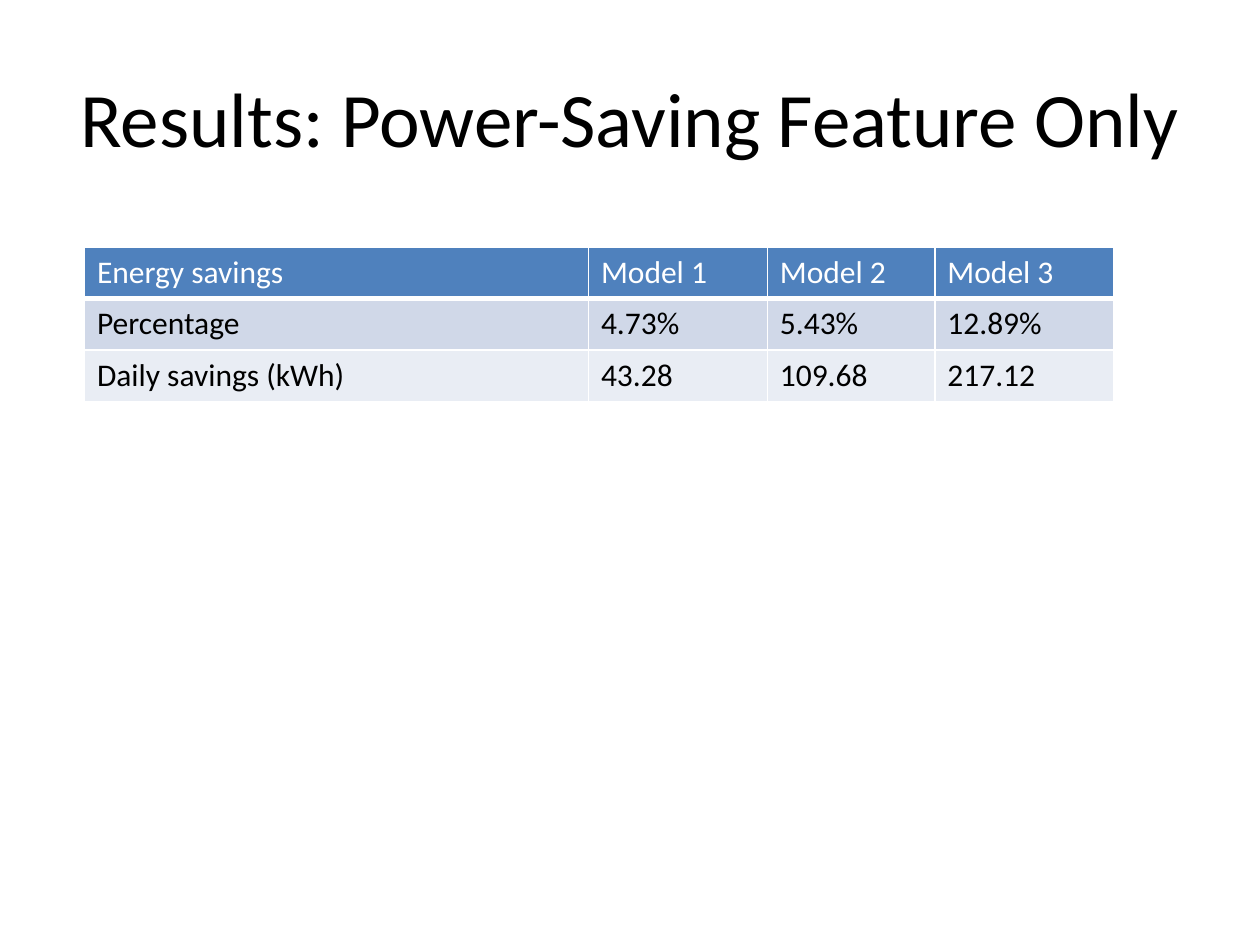
from lxml import etree
from pptx import Presentation
from pptx.dml.color import RGBColor
from pptx.enum.text import MSO_ANCHOR, PP_ALIGN
from pptx.oxml.ns import qn
from pptx.util import Inches, Pt

MIDDLE = MSO_ANCHOR.MIDDLE
CENTER = PP_ALIGN.CENTER

WHITE = RGBColor(0xFF, 0xFF, 0xFF)
BLACK = RGBColor(0, 0, 0)
BLUE = RGBColor(0x4F, 0x81, 0xBD)
MID = RGBColor(0xD0, 0xD8, 0xE8)
PALE = RGBColor(0xE9, 0xED, 0xF4)

# Content
TITLE = "Results: Power-Saving Feature Only"
ROWS = [
    ("Energy savings", "Model 1", "Model 2", "Model 3"),
    ("Percentage", "4.73%", "5.43%", "12.89%"),
    ("Daily savings (kWh)", "43.28", "109.68", "217.12"),
]

# Layout and formats
WIDTHS = (4, 1.42, 1.33, 1.42)
ROW_H = 0.41
FILLS = (BLUE, MID, PALE)
HEAD = {"name": "Calibri", "size": Pt(18), "bold": False}
BIG = {"name": "Calibri", "size": Pt(44)}


def write(frame, text, style, color):
    para = frame.paragraphs[0]
    run = para.add_run()
    run.text = text
    for key, value in style.items():
        setattr(run.font, key, value)
    run.font.color.rgb = color
    return para


def edge(cell, sides):
    """Draw white borders; sides maps a border tag to its width in points."""
    props = cell._tc.get_or_add_tcPr()
    for spot, (tag, width) in enumerate(sides.items()):
        line = etree.Element(qn(f"a:{tag}"), w=str(Pt(width)))
        fill = etree.SubElement(line, qn("a:solidFill"))
        etree.SubElement(fill, qn("a:srgbClr"), val=str(WHITE))
        props.insert(spot, line)


prs = Presentation()
prs.slide_width, prs.slide_height = Inches(10), Inches(7.5)
slide = prs.slides.add_slide(prs.slide_layouts[6])

# Title
box = slide.shapes.add_textbox(Inches(0.5), Inches(0.3), Inches(9), Inches(1.25))
frame = box.text_frame
frame.word_wrap = True
frame.vertical_anchor = MIDDLE
write(frame, TITLE, BIG, BLACK).alignment = CENTER

# Savings table
table = slide.shapes.add_table(
    len(ROWS), len(WIDTHS), Inches(0.67), Inches(1.96),
    Inches(sum(WIDTHS)), Inches(ROW_H * len(ROWS))).table
for col, width in zip(table.columns, WIDTHS):
    col.width = Inches(width)
for r, (texts, fill) in enumerate(zip(ROWS, FILLS)):
    table.rows[r].height = Inches(ROW_H)
    sides = {"lnL": 1, "lnR": 1, "lnT": 3 if r == 1 else 1,
             "lnB": 3 if r == 0 else 1}
    for c, text in enumerate(texts):
        cell = table.cell(r, c)
        cell.fill.solid()
        cell.fill.fore_color.rgb = fill
        edge(cell, sides)
        write(cell.text_frame, text, HEAD, BLACK if r else WHITE)

prs.save("out.pptx")
